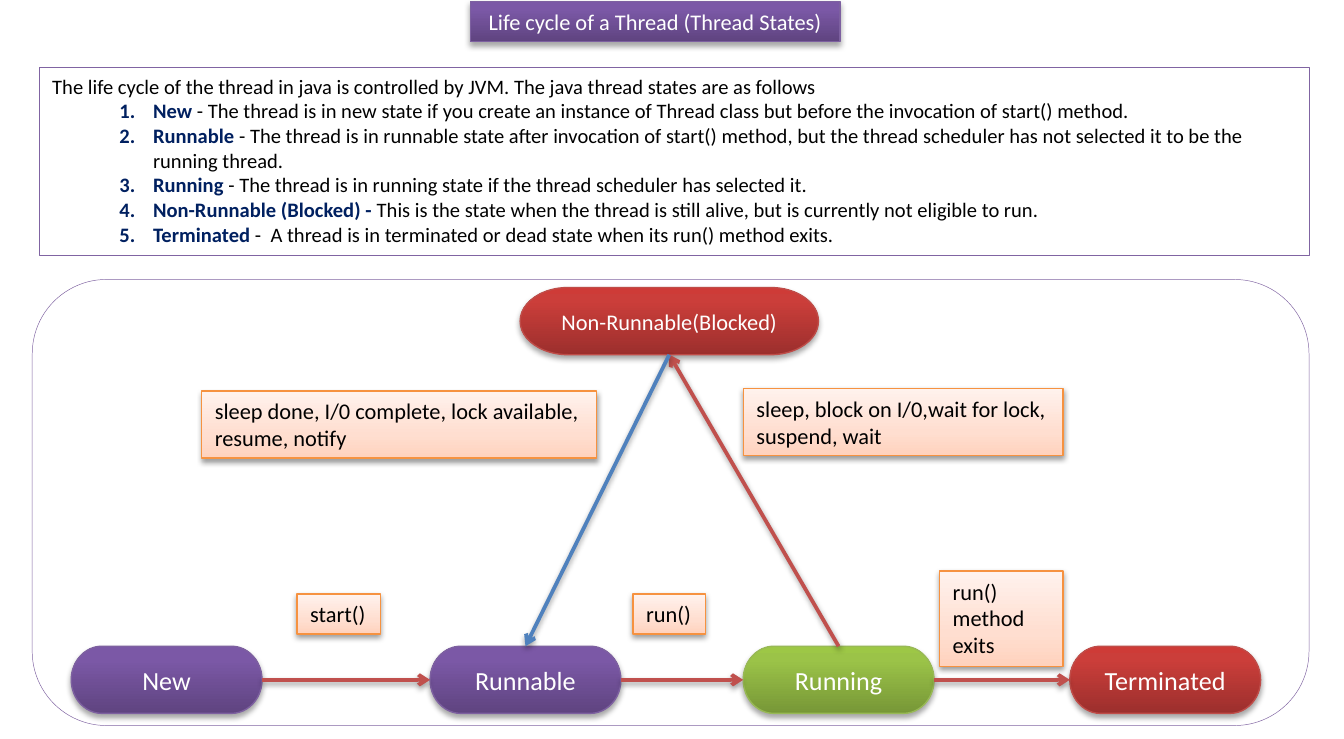
from pptx import Presentation
from pptx.dml.color import RGBColor
from pptx.enum.shapes import MSO_CONNECTOR, MSO_SHAPE
from pptx.enum.text import MSO_ANCHOR, MSO_AUTO_SIZE, PP_ALIGN
from pptx.oxml import parse_xml
from pptx.oxml.ns import nsdecls, qn
from pptx.util import Pt

PX = 9144
FONT = "Calibri"

PURPLE = ([(0, "5F4480"), (80, "7B58A6"), (100, "7C57A8")], "7D60A0")
GREEN = ([(0, "779737"), (80, "9BC348"), (100, "9DC746")], "98B955")
RED = ([(0, "9C2F2D"), (80, "CB3E3A"), (100, "CE3B37")], "BF4C48")
PEACH = ([(0, "FFD2BD"), (35, "FFDED0"), (100, "FFF2ED")], "F69240")

PANEL = (24, 208, 950, 332)
TITLE = ("Life cycle of a Thread (Thread States)", (350, 1, 275, 30))
STATE_Y, STATE_W, STATE_H = 481, 142, 50
STATES = [
    ("New", 53, PURPLE),
    ("Runnable", 320, PURPLE),
    ("Running", 553, GREEN),
    ("Terminated", 796, RED),
]
BLOCKED = ("Non-Runnable(Blocked)", (387, 214, 222, 50))
TOP, LEFT, BOTTOM, RIGHT = range(4)
ARROWS = [
    ("New", RIGHT, "Runnable", LEFT, "C0504D"),
    ("Runnable", RIGHT, "Running", LEFT, "C0504D"),
    ("Running", RIGHT, "Terminated", LEFT, "C0504D"),
    ("Running", TOP, BLOCKED[0], BOTTOM, "C0504D"),
    (BLOCKED[0], BOTTOM, "Runnable", TOP, "4F81BD"),
]
LABELS = [
    (["start()"], (221, 442, 62, 30), False),
    (["run()"], (471, 442, 54, 30), False),
    (["run() method exits"], (699, 425, 92, 71), True),
    (["sleep, block on I/0,wait for lock,", "suspend, wait"], (553, 289, 238, 50), False),
    (["sleep done, I/0 complete, lock available,", "resume, notify"], (150, 291, 294, 50), False),
]
NOTES_BOX = (29, 50, 945, 140)
INTRO = "The life cycle of the thread in java is controlled by JVM. The java thread states are as follows"
DEFINITIONS = [
    ("New", " - The thread is in new state if you create an instance of Thread class "
     "but before the invocation of start() method."),
    ("Runnable", " - The thread is in runnable state after invocation of start() method, "
     "but the thread scheduler has not selected it to be the running thread."),
    ("Running", " - The thread is in running state if the thread scheduler has selected it."),
    ("Non-Runnable (Blocked) - ", "This is the state when the thread is still alive, "
     "but is currently not eligible to run."),
    ("Terminated ", "-  A thread is in terminated or dead state when its run() method exits."),
]


def rgb(value):
    return RGBColor.from_string(value)


def add_shadow(spPr, alpha, dist):
    for old in spPr.findall(qn("a:effectLst")):
        spPr.remove(old)
    spPr.append(parse_xml(
        f'<a:effectLst {nsdecls("a")}><a:outerShdw blurRad="{Pt(3.1)}" dist="{Pt(dist)}" '
        f'dir="5400000" rotWithShape="0"><a:srgbClr val="000000"><a:alpha val="{alpha * 1000}"/>'
        '</a:srgbClr></a:outerShdw></a:effectLst>'))


def add_box(kind, box, line, width):
    sp = s.shapes.add_shape(kind, *(v * PX for v in box))
    sp.shadow.inherit = False
    sp.fill.solid()
    sp.fill.fore_color.rgb = rgb("FFFFFF")
    sp.line.color.rgb = rgb(line)
    sp.line.width = Pt(width)
    return sp


def add_gradient_box(kind, box, style, alpha=35, dist=1.8):
    stops, line = style
    sp = add_box(kind, box, line, 0.75)
    sp.fill.gradient()
    sp.fill.gradient_angle = 90
    spPr = sp._element.spPr
    gs_lst = spPr.find(qn("a:gradFill")).find(qn("a:gsLst"))
    for gs in list(gs_lst):
        gs_lst.remove(gs)
    for pos, color in stops:
        gs_lst.append(parse_xml(
            f'<a:gs {nsdecls("a")} pos="{pos * 1000}"><a:srgbClr val="{color}"/></a:gs>'))
    add_shadow(spPr, alpha, dist)
    return sp


def add_run(p, text, size, color, bold=False):
    r = p.add_run()
    r.text = text
    r.font.name = FONT
    r.font.size = Pt(size)
    r.font.bold = bold
    r.font.color.rgb = rgb(color)


def add_text(sp, lines, size, color, align=PP_ALIGN.LEFT, anchor=MSO_ANCHOR.TOP, wrap=True):
    tf = sp.text_frame
    tf.word_wrap = wrap
    tf.vertical_anchor = anchor
    if anchor == MSO_ANCHOR.TOP:
        tf.auto_size = MSO_AUTO_SIZE.SHAPE_TO_FIT_TEXT
    for i, text in enumerate(lines):
        p = tf.add_paragraph() if i else tf.paragraphs[0]
        p.alignment = align
        add_run(p, text, size, color)
    return tf


def add_state(name, box, style, size):
    sp = add_gradient_box(MSO_SHAPE.FLOWCHART_TERMINATOR, box, style)
    add_text(sp, [name], size, "FFFFFF", PP_ALIGN.CENTER, MSO_ANCHOR.MIDDLE)
    return sp


def add_arrow(start, start_side, end, end_side, color):
    c = s.shapes.add_connector(MSO_CONNECTOR.STRAIGHT, 0, 0, 0, 0)
    c.begin_connect(start, start_side)
    c.end_connect(end, end_side)
    c.line.color.rgb = rgb(color)
    c.line.width = Pt(2)
    c.line._get_or_add_ln().append(parse_xml(f'<a:tailEnd {nsdecls("a")} type="arrow"/>'))
    add_shadow(c._element.spPr, 38, 1.6)


prs = Presentation()
prs.slide_width, prs.slide_height = 1000 * PX, 550 * PX
s = prs.slides.add_slide(prs.slide_layouts[6])

add_box(MSO_SHAPE.ROUNDED_RECTANGLE, PANEL, "8064A2", 0.25)
title = add_gradient_box(MSO_SHAPE.RECTANGLE, TITLE[1], PURPLE)
add_text(title, [TITLE[0]], 12, "FFFFFF", PP_ALIGN.CENTER)

nodes = {name: add_state(name, (x, STATE_Y, STATE_W, STATE_H), style, 14)
         for name, x, style in STATES}
nodes[BLOCKED[0]] = add_state(*BLOCKED, RED, 12)

for start, start_side, end, end_side, color in ARROWS:
    add_arrow(nodes[start], start_side, nodes[end], end_side, color)

for lines, box, wrap in LABELS:
    label = add_gradient_box(MSO_SHAPE.RECTANGLE, box, PEACH, 38, 1.6)
    add_text(label, lines, 12, "000000", wrap=wrap)

notes = add_box(MSO_SHAPE.RECTANGLE, NOTES_BOX, "8064A2", 0.25)
tf = add_text(notes, [INTRO], 11, "000000")
for term, meaning in DEFINITIONS:
    p = tf.add_paragraph()
    p.alignment = PP_ALIGN.LEFT
    p.level = 1
    pPr = p._p.get_or_add_pPr()
    pPr.set("marL", str(75 * PX))
    pPr.set("indent", str(-25 * PX))
    pPr.append(parse_xml(f'<a:buFont {nsdecls("a")} typeface="+mj-lt"/>'))
    pPr.append(parse_xml(f'<a:buAutoNum {nsdecls("a")} type="arabicPeriod"/>'))
    add_run(p, term, 11, "002060", True)
    add_run(p, meaning, 11, "000000")

prs.save("out.pptx")
